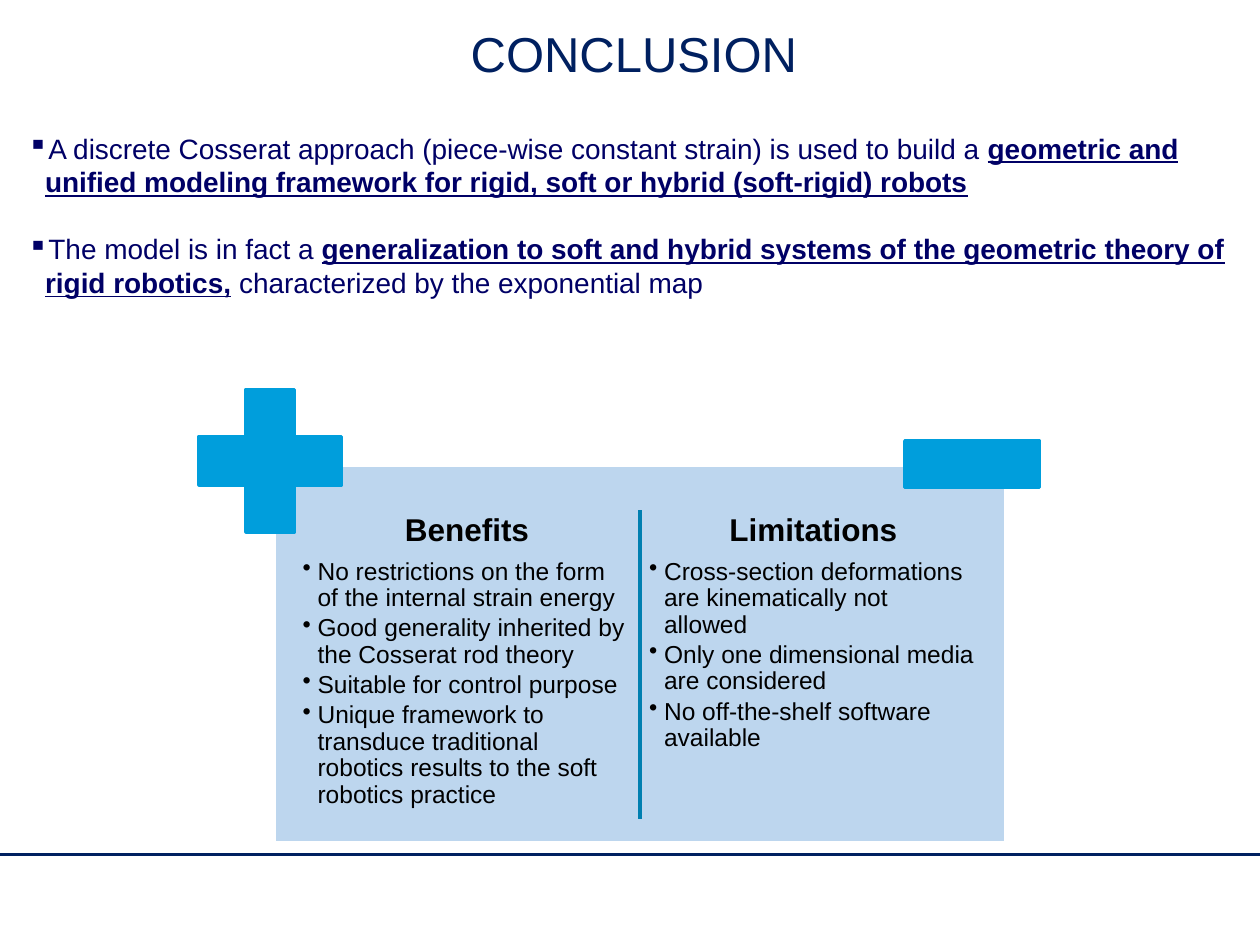
import pptx
import pptx.util
import pptx.dml.color
import pptx.enum.shapes
import pptx.enum.text
import pptx.oxml
import pptx.oxml.ns

Pt = pptx.util.Pt
SHAPES = pptx.enum.shapes.MSO_SHAPE
CENTER = pptx.enum.text.PP_ALIGN.CENTER

NAVY, INK, BLACK, WHITE = "002060", "000066", "000000", "FFFFFF"
PALE, SKY, TEAL = "BDD6EE", "009EDC", "007FB0"

STATEMENTS = [
    [("A discrete Cosserat approach (piece-wise constant strain) is used to build a ", False),
     ("geometric and unified modeling framework for rigid, soft or hybrid (soft-rigid) robots", True)],
    [("The model is in fact a ", False),
     ("generalization to soft and hybrid systems of the geometric theory of rigid robotics,", True),
     (" characterized by the exponential map", False)],
]
BENEFITS = [
    "No restrictions on the form of the internal strain energy",
    "Good generality inherited by the Cosserat rod theory",
    "Suitable for control purpose",
    "Unique framework to transduce traditional robotics results to the soft robotics practice",
]
LIMITATIONS = [
    "Cross-section deformations are kinematically not allowed",
    "Only one dimensional media are considered",
    "No off-the-shelf software available",
]


def rgb(color):
    """Turn a hex string into a colour."""
    return pptx.dml.color.RGBColor.from_string(color)


def add_frame(slide, box, inset_x, inset_y):
    """Add a wrapping text box and return its text frame."""
    frame = slide.shapes.add_textbox(*map(Pt, box)).text_frame
    frame.word_wrap = True
    frame.margin_left = frame.margin_right = Pt(inset_x)
    frame.margin_top = frame.margin_bottom = Pt(inset_y)
    return frame


def write(frame, text, size=14, color=BLACK, bold=False, align=None, bullet=None,
          indent=0, spacing=None, before=0, after=0):
    """Write a paragraph of plain text or of (text, emphasised) pairs."""
    first = not frame.paragraphs[0].runs
    paragraph = frame.paragraphs[0] if first else frame.add_paragraph()
    if bullet:
        properties = paragraph._p.get_or_add_pPr()
        properties.set("marL", str(Pt(indent)))
        properties.set("indent", str(-Pt(indent)))
        mark = pptx.oxml.parse_xml(
            f'<a:buChar {pptx.oxml.ns.nsdecls("a")} char="{bullet}"/>')
        properties.append(mark)
    paragraph.alignment = align
    paragraph.line_spacing = spacing
    paragraph.space_before = Pt(0 if first else before)
    paragraph.space_after = Pt(after)
    for words, emphasised in [(text, False)] if isinstance(text, str) else text:
        run = paragraph.add_run()
        run.text = words
        run.font.name = "Arial"
        run.font.size = Pt(size)
        run.font.color.rgb = rgb(color)
        run.font.bold = bold or emphasised
        run.font.underline = emphasised


def add_block(slide, kind, box, fill, outline):
    """Add a filled shape with a two-point outline."""
    block = slide.shapes.add_shape(kind, *map(Pt, box))
    block.shadow.inherit = False
    block.fill.solid()
    block.fill.fore_color.rgb = rgb(fill)
    block.line.color.rgb = rgb(outline)
    block.line.width = Pt(2)
    return block


def add_rule(slide, start, end, color, width):
    """Draw a straight line without a shadow."""
    rule = slide.shapes.add_connector(
        pptx.enum.shapes.MSO_CONNECTOR.STRAIGHT, *map(Pt, start + end))
    rule.line.color.rgb = rgb(color)
    rule.line.width = Pt(width)
    properties = rule._element.spPr
    properties.append(pptx.oxml.parse_xml(f'<a:effectLst {pptx.oxml.ns.nsdecls("a")}/>'))


def add_title(slide, box):
    """Place the slide heading."""
    write(add_frame(slide, box, 5, 2.9), "CONCLUSION", size=28, color=NAVY, align=CENTER)


def add_statements(slide, box):
    """Place the two main statements, one line apart."""
    frame = add_frame(slide, box, 5, 2.9)
    for statement in STATEMENTS:
        write(frame, statement, size=16, color=INK, bullet="▪", indent=10, before=19.2)


def add_column(slide, box, heading, points):
    """Place a heading with its bulleted points."""
    frame = add_frame(slide, box, 2.9, 2.9)
    write(frame, heading, size=18, bold=True, align=CENTER, spacing=0.9, after=6.3)
    for point in points:
        write(frame, point, bullet="•", indent=8.6, spacing=0.9, after=2.1)


def add_comparison(slide, box):
    """Place the panel of benefits and limitations with its plus and minus signs."""
    left, top, width, height = box
    add_block(slide, SHAPES.RECTANGLE, box, PALE, WHITE)
    columns = [("Benefits", BENEFITS), ("Limitations", LIMITATIONS)]
    for index, (heading, points) in enumerate(columns):
        column = (left + 13 + 198 * index, top + 25.2, 193.7, 184.3)
        add_column(slide, column, heading, points)
    plus = add_block(slide, SHAPES.CROSS, (left - 43.2, top - 43.2, 81.4, 81.4), SKY, SKY)
    plus.adjustments[0] = 0.33
    add_block(slide, SHAPES.RECTANGLE, (left + width - 57.6, top - 13.7, 77, 26.6), SKY, SKY)
    middle = left + width / 2
    add_rule(slide, (middle, top + 25.9), (middle, top + height - 13.7), TEAL, 2)


def main():
    """Build and save the conclusion slide."""
    deck = pptx.Presentation()
    deck.slide_width, deck.slide_height = Pt(720), Pt(540)
    slide = deck.slides.add_slide(deck.slide_layouts[6])
    add_rule(slide, (0, 488.2), (720, 488.2), NAVY, 1.5)
    add_title(slide, (92.2, 10.8, 540, 33.8))
    add_statements(slide, (10.8, 72, 706.3, 102.2))
    add_comparison(slide, (157, 265.7, 417.6, 216))
    deck.save("out.pptx")


if __name__ == "__main__":
    main()
